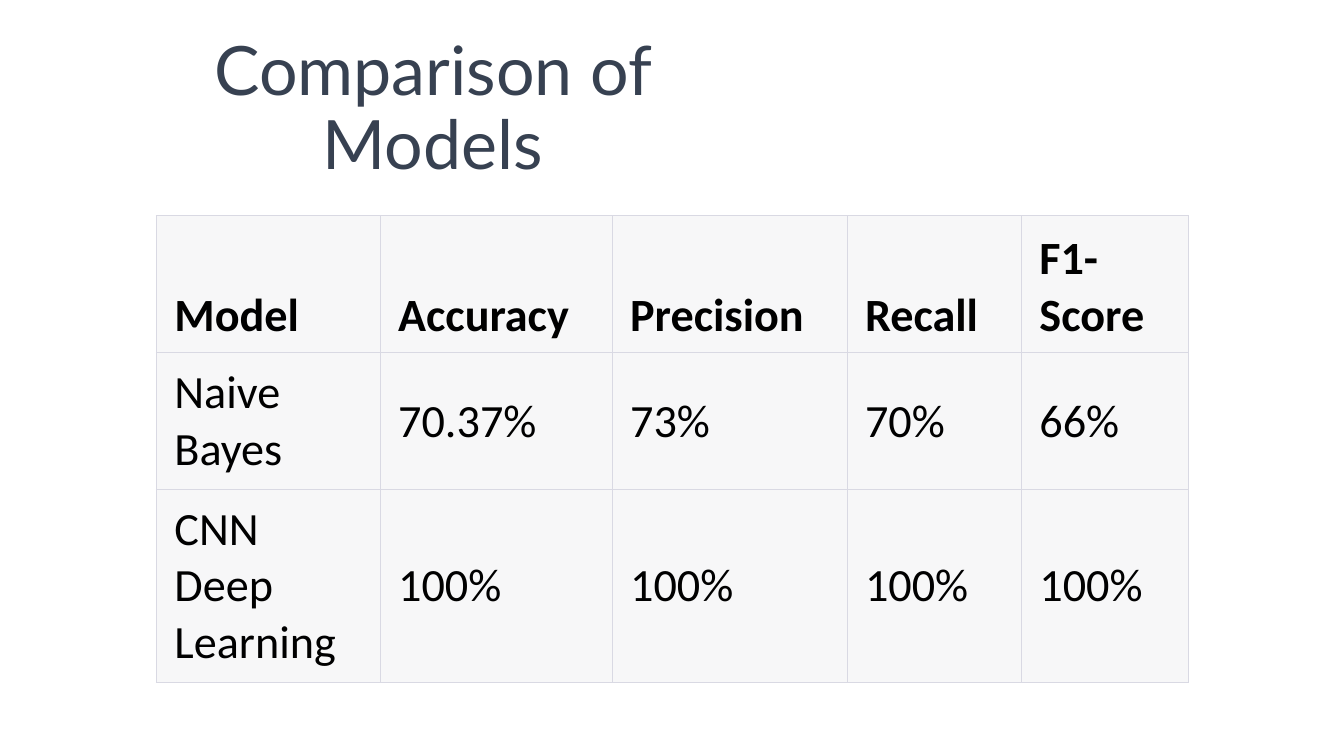
from dataclasses import dataclass

from lxml.etree import SubElement
from pptx import Presentation
from pptx.dml.color import RGBColor as Rgb
from pptx.enum.text import MSO_ANCHOR as Anchor, MSO_AUTO_SIZE as Fit, PP_ALIGN as Align
from pptx.oxml.ns import qn
from pptx.table import _Cell as Cell
from pptx.text.text import _Paragraph as Para
from pptx.util import Emu, Pt

SCALE = 9144  # EMU per px, 100 px to the inch
INK = {"title": "374151", "text": "000000", "fill": "F7F7F8", "line": "D9D9E3"}


@dataclass(frozen=True)
class Face:
    font: str
    size: float
    ink: str
    bold: bool = False


@dataclass(frozen=True)
class Row:
    tall: int
    face: Face
    anchor: Anchor
    texts: tuple[str, ...]


HEAD = Face("Calibri", 33, "text", True)
BODY = Face("Calibri", 33, "text")
COLS = (222, 230, 233, 173, 166)
ROWS = (
    Row(136, HEAD, Anchor.BOTTOM, ("Model", "Accuracy", "Precision", "Recall", "F1-Score")),
    Row(136, BODY, Anchor.MIDDLE, ("Naive Bayes", "70.37%", "73%", "70%", "66%")),
    Row(191, BODY, Anchor.MIDDLE, ("CNN Deep Learning", "100%", "100%", "100%", "100%")),
)


def px(n: int) -> Emu:
    return Emu(n * SCALE)


def add_run(para: Para, text: str, face: Face) -> None:
    run = para.add_run()
    run.text = text
    font = run.font
    font.name, font.size, font.bold = face.font, Pt(face.size), face.bold
    font.color.rgb = Rgb.from_string(INK[face.ink])


def add_edge(cell: Cell, side: str, width: float) -> None:
    line = SubElement(cell._tc.get_or_add_tcPr(), qn(f"a:ln{side}"), w=str(Pt(width)))
    fill = SubElement(line, qn("a:solidFill"))
    SubElement(fill, qn("a:srgbClr"), val=INK["line"])


def fill_cell(cell: Cell, text: str, row: Row, first: bool, last: bool) -> None:
    cell.margin_left = cell.margin_right = px(18)
    cell.margin_top = cell.margin_bottom = px(9)
    cell.vertical_anchor = row.anchor
    # Edges come before the fill; lines between rows are heavier
    edges = {"L": 0.5, "R": 0.5, "T": 0.5 if first else 1, "B": 0.5 if last else 1}
    for side, width in edges.items():
        add_edge(cell, side, width)
    cell.fill.solid()
    cell.fill.fore_color.rgb = Rgb.from_string(INK["fill"])
    add_run(cell.text_frame.paragraphs[0], text, row.face)


def main() -> None:
    deck = Presentation()
    deck.slide_width, deck.slide_height = px(1333), px(750)
    slide = deck.slides.add_slide(deck.slide_layouts[5])

    # Title
    title = slide.shapes.title
    title.left, title.top, title.width, title.height = map(px, (92, 38, 674, 143))
    frame = title.text_frame
    frame.word_wrap, frame.auto_size = True, Fit.NONE
    frame.vertical_anchor = Anchor.MIDDLE
    para = frame.paragraphs[0]
    para.alignment, para.line_spacing = Align.CENTER, 0.9
    add_run(para, "Comparison of Models", Face("Lato", 48.6, "title"))

    # Table of scores
    tall = sum(row.tall for row in ROWS)
    box = map(px, (155, 214, sum(COLS), tall))
    table = slide.shapes.add_table(len(ROWS), len(COLS), *box).table
    table.first_row = table.horz_banding = False
    for col, wide in zip(table.columns, COLS):
        col.width = px(wide)
    for i, row in enumerate(ROWS):
        table.rows[i].height = px(row.tall)
        for j, text in enumerate(row.texts):
            fill_cell(table.cell(i, j), text, row, i == 0, i == len(ROWS) - 1)

    deck.save("out.pptx")


if __name__ == "__main__":
    main()
